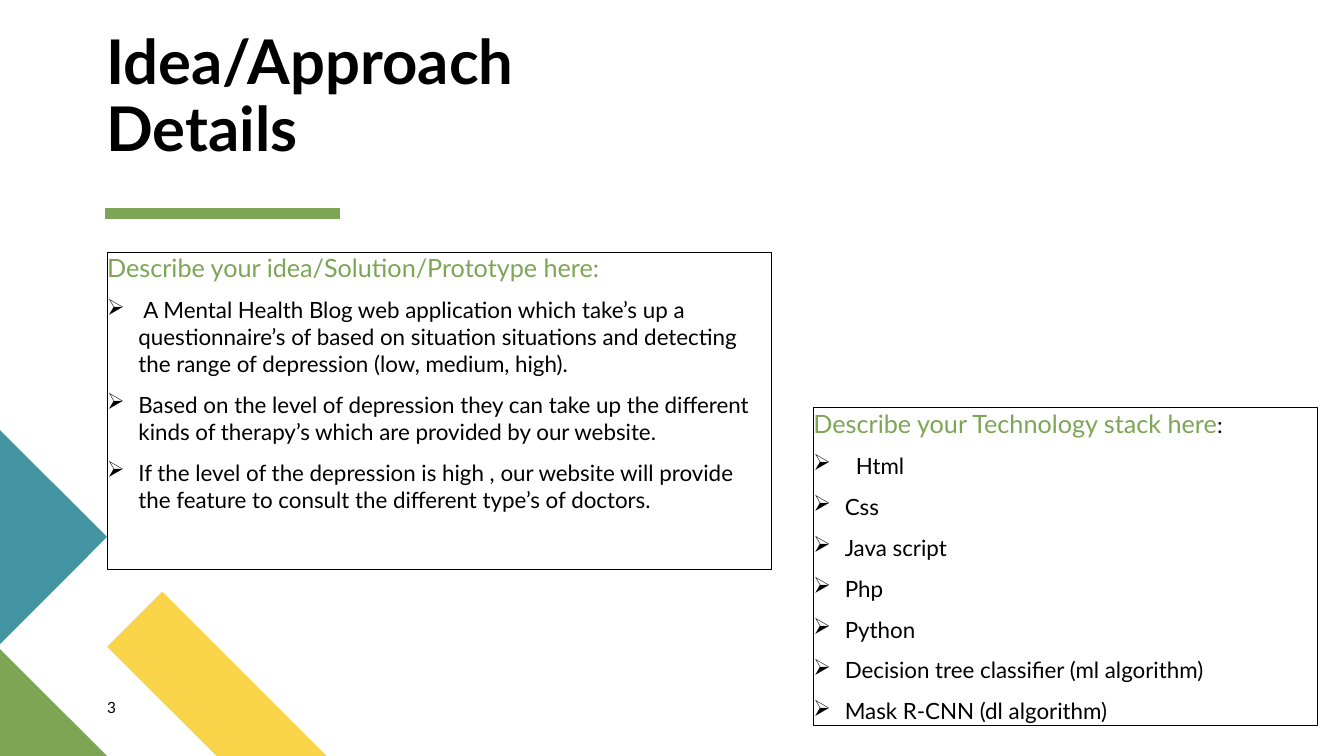
import pptx
import pptx.dml.color
import pptx.enum.shapes
import pptx.enum.text
import pptx.oxml
import pptx.oxml.ns
import pptx.util
from pptx.util import Cm

THEME = {
    "font": "Lato", "bullet_font": "Wingdings", "bullet": "Ø",
    "black": "000000", "green": "7CA655", "teal": "4495A2", "yellow": "F9D448",
    "title": 44, "heading": 18, "body": 16, "number": 11,
    "rule": 8, "border": 0.75, "gap": 10, "hang": 0.79,
}

CORNERS = [
    ("yellow", [(8.23, 19.05), (5.46, 19.05), (2.7, 16.3), (4.09, 14.91)]),
    ("green", [(2.7, 19.05), (0, 19.05), (0, 16.36)]),
    ("teal", [(0, 10.84), (2.7, 13.53), (0, 16.23)]),
]

IDEA = [
    " A Mental Health Blog web application which take’s up a questionnaire’s of based on "
    "situation situations and detecting the range of depression (low, medium, high).",
    "Based on the level of depression they can take up the different kinds of therapy’s "
    "which are provided by our website.",
    "If the level of the depression is high , our website will provide the feature to "
    "consult the different type’s of doctors.",
]
STACK = ["Html", "Css", "Java script", "Php", "Python",
         "Decision tree classifier (ml algorithm)", "Mask R-CNN (dl algorithm)"]


def rgb(name):
    return pptx.dml.color.RGBColor.from_string(THEME[name])


def set_attrs(target, values):
    for name, value in values.items():
        setattr(target, name, value)


def add_xml(parent, tag, attributes=""):
    """Append one empty DrawingML element."""
    parent.append(pptx.oxml.parse_xml(
        f'<a:{tag} {pptx.oxml.ns.nsdecls("a")} {attributes}/>'))


def add_run(p, text, size, color="black", bold=False):
    r = p.add_run()
    r.text = text
    set_attrs(r.font, {"name": THEME["font"], "size": pptx.util.Pt(THEME[size]),
                       "bold": bold})
    r.font.color.rgb = rgb(color)


def add_bullet(tf, text, hang):
    """Add a hanging item; the symbol font draws its bullet as an arrowhead."""
    p = tf.add_paragraph()
    pPr = p._p.get_or_add_pPr()
    pPr.set("marL", str(Cm(hang)))
    pPr.set("indent", str(-Cm(hang)))
    add_xml(pPr, "buFont", f'typeface="{THEME["bullet_font"]}" pitchFamily="2" charset="2"')
    add_xml(pPr, "buChar", f'char="{THEME["bullet"]}"')
    p.space_before = pptx.util.Pt(THEME["gap"])
    add_run(p, text, "body")


def format_frame(tf, anchor=pptx.enum.text.MSO_ANCHOR.TOP):
    set_attrs(tf, {"margin_left": 0, "margin_top": 0, "margin_right": 0,
                   "margin_bottom": 0, "word_wrap": True, "vertical_anchor": anchor,
                   "auto_size": pptx.enum.text.MSO_AUTO_SIZE.NONE})


def add_text(s, box, text, size, bold=False, spacing=1.0,
             anchor=pptx.enum.text.MSO_ANCHOR.TOP):
    tf = s.shapes.add_textbox(*map(Cm, box)).text_frame
    format_frame(tf, anchor)
    p = tf.paragraphs[0]
    p.line_spacing = spacing
    add_run(p, text, size, bold=bold)


def add_panel(s, box, heading, items, tail="", first_hang=THEME["hang"]):
    """Outlined box with a green heading, its black tail and a bulleted list."""
    sp = s.shapes.add_shape(pptx.enum.shapes.MSO_SHAPE.RECTANGLE, *map(Cm, box))
    sp.shadow.inherit = False
    sp.fill.background()
    sp.line.color.rgb = rgb("black")
    sp.line.width = pptx.util.Pt(THEME["border"])
    tf = sp.text_frame
    format_frame(tf)
    p = tf.paragraphs[0]
    add_run(p, heading, "heading", "green")
    if tail:
        add_run(p, tail, "body")
    for i, item in enumerate(items):
        add_bullet(tf, item, THEME["hang"] if i else first_hang)
    for p in tf.paragraphs:
        p.alignment = pptx.enum.text.PP_ALIGN.LEFT


def add_polygon(s, color, points):
    start, *rest = [(Cm(x), Cm(y)) for x, y in points]
    builder = s.shapes.build_freeform(*start)
    builder.add_line_segments(rest, close=True)
    sp = builder.convert_to_shape()
    sp.shadow.inherit = False
    sp.fill.solid()
    sp.fill.fore_color.rgb = rgb(color)
    sp.line.fill.background()


def add_rule(s, x1, x2, y):
    line = s.shapes.add_connector(pptx.enum.shapes.MSO_CONNECTOR.STRAIGHT,
                                  Cm(x1), Cm(y), Cm(x2), Cm(y))
    line.line.color.rgb = rgb("green")
    line.line.width = pptx.util.Pt(THEME["rule"])
    add_xml(line._element.spPr, "effectLst")


def main():
    prs = pptx.Presentation()
    set_attrs(prs, {"slide_width": Cm(33.87), "slide_height": Cm(19.05)})
    s = prs.slides.add_slide(prs.slide_layouts[6])
    for color, points in CORNERS:
        add_polygon(s, color, points)
    add_rule(s, 2.64, 8.58, 5.39)
    add_text(s, (2.68, 2.45, 15.2, 1.7), "Idea/Approach Details", "title", bold=True,
             spacing=0.9, anchor=pptx.enum.text.MSO_ANCHOR.BOTTOM)
    add_panel(s, (2.7, 6.36, 16.74, 8), "Describe your idea/Solution/Prototype here:", IDEA)
    add_text(s, (2.7, 17.6, 1.45, 0.69), "3", "number")
    add_panel(s, (20.5, 10.28, 12.7, 8), "Describe your Technology stack here", STACK,
              tail=":", first_hang=1.07)
    prs.save("out.pptx")


if __name__ == "__main__":
    main()
